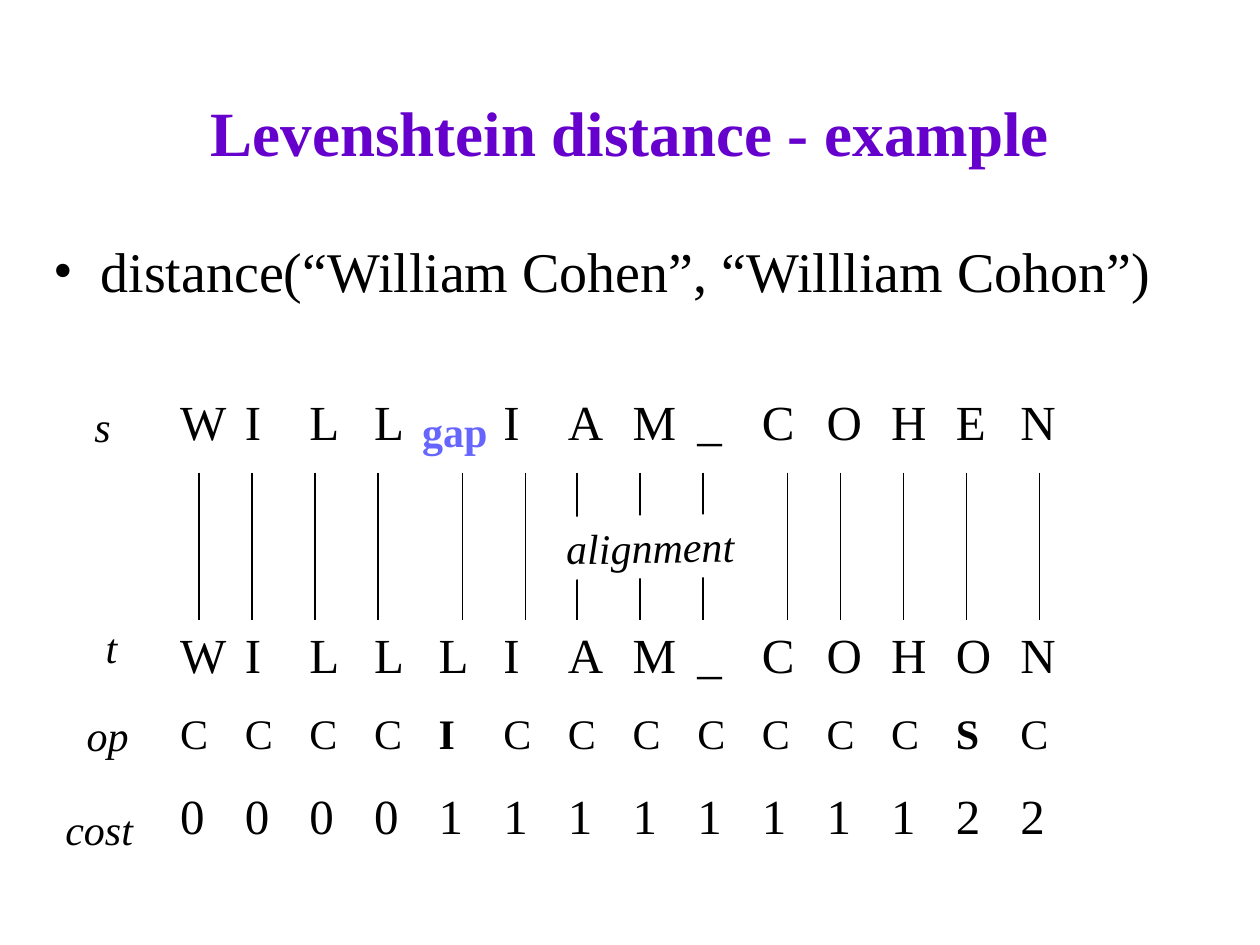
from lxml.etree import SubElement
from pptx import Presentation
from pptx.dml.color import RGBColor
from pptx.enum.shapes import MSO_CONNECTOR, MSO_SHAPE
from pptx.enum.text import MSO_ANCHOR, MSO_AUTO_SIZE, PP_ALIGN
from pptx.oxml.ns import qn
from pptx.util import Inches, Pt

FONT = "Times New Roman"
COLORS = {"title": "6600CC", "text": "000000", "gap": "6666FF", "paper": "FFFFFF"}

TITLE = "Levenshtein distance - example"
CALL = "distance(“William Cohen”, “Willliam Cohon”)"

# Row height, text size, one character per column (a space is an empty cell)
ROWS = [
    (0.73, 28, "WILL IAM_COHEN"),
    (1.12, 28, " " * 14),
    (0.64, 28, "WILLLIAM_COHON"),
    (0.64, 24, "CCCCICCCCCCCSC"),
    (0.71, 28, "00001111111122"),
]
EDITS = "IS"
EDIT_ROW = 3
# Thirteen equal columns and a wide last one
COLUMN_WIDTHS = [6.67 / 13] * 13 + [1.25]

# Text, left, top, width, alignment
ROW_LABELS = [
    ("s", 0.65, 3.13, 0.33, PP_ALIGN.LEFT),
    ("t", 0.74, 4.88, 0.29, PP_ALIGN.LEFT),
    ("op", 0.59, 5.58, 0.53, PP_ALIGN.RIGHT),
    ("cost", 0.42, 6.33, 0.78, PP_ALIGN.LEFT),
]
LABEL_HEIGHT = 0.5

MATCH_X = [1.58, 2, 2.5, 3, 3.67, 4.17, 4.58, 5.08, 5.58, 6.25, 6.67, 7.17, 7.67, 8.25]
MATCH_TOP, MATCH_BOTTOM = 3.75, 4.92


def color(name):
    return RGBColor.from_string(COLORS[name])


def write(para, text, size=24, tint="text", bold=False, italic=False,
          align=PP_ALIGN.LEFT):
    para.alignment = align
    span = para.add_run()
    span.text = text
    span.font.name = FONT
    span.font.size = Pt(size)
    span.font.bold = bold
    span.font.italic = italic
    span.font.color.rgb = color(tint)


def add_text(slide, text, left, top, width, height, wrap=True,
             anchor=MSO_ANCHOR.TOP, **style):
    box = slide.shapes.add_textbox(*map(Inches, (left, top, width, height)))
    frame = box.text_frame
    frame.word_wrap = wrap
    frame.auto_size = MSO_AUTO_SIZE.NONE if wrap else MSO_AUTO_SIZE.SHAPE_TO_FIT_TEXT
    frame.vertical_anchor = anchor
    para = frame.paragraphs[0]
    write(para, text, **style)
    return para


def add_bullet(para, indent):
    properties = para._p.get_or_add_pPr()
    properties.set("marL", str(Inches(indent)))
    properties.set("indent", str(-Inches(indent)))
    SubElement(properties, qn("a:buFont"), typeface=FONT)
    SubElement(properties, qn("a:buChar"), char="•")


def add_alignment_table(slide):
    height = sum(row[0] for row in ROWS)
    frame = slide.shapes.add_table(
        len(ROWS), len(COLUMN_WIDTHS), Inches(1.33), Inches(3.17),
        Inches(sum(COLUMN_WIDTHS)), Inches(height))
    table = frame.table
    table.first_row = table.horz_banding = False
    for column, width in zip(table.columns, COLUMN_WIDTHS):
        column.width = Inches(width)
    for r, (row_height, size, letters) in enumerate(ROWS):
        table.rows[r].height = Inches(row_height)
        for c, letter in enumerate(letters):
            cell = table.cell(r, c)
            cell.fill.background()
            if letter != " ":
                para = cell.text_frame.paragraphs[0]
                para.line_spacing = 0.8
                write(para, letter, size=size,
                      bold=r == EDIT_ROW and letter in EDITS)


def add_match_line(slide, x):
    line = slide.shapes.add_connector(
        MSO_CONNECTOR.STRAIGHT, Inches(x), Inches(MATCH_TOP),
        Inches(x), Inches(MATCH_BOTTOM))
    line.line.color.rgb = color("text")
    line.line.width = Pt(0.75)
    SubElement(line._element.spPr, qn("a:effectLst"))


def add_alignment_label(slide):
    label = slide.shapes.add_shape(
        MSO_SHAPE.RECTANGLE, Inches(4.24), Inches(4.09), Inches(1.84), Inches(LABEL_HEIGHT))
    label.rotation = 359
    label.shadow.inherit = False
    label.fill.solid()
    label.fill.fore_color.rgb = color("paper")
    label.line.fill.background()
    label.text_frame.vertical_anchor = MSO_ANCHOR.TOP
    write(label.text_frame.paragraphs[0], "alignment", italic=True,
          align=PP_ALIGN.CENTER)


def main():
    deck = Presentation()
    deck.slide_width, deck.slide_height = Inches(10), Inches(7.5)
    slide = deck.slides.add_slide(deck.slide_layouts[6])

    add_text(slide, TITLE, 0.75, 0.42, 8.5, 1.25, anchor=MSO_ANCHOR.MIDDLE,
             size=36, tint="title", bold=True, align=PP_ALIGN.CENTER)
    add_bullet(add_text(slide, CALL, 0.33, 1.83, 9.33, 0.92, size=32), 0.37)
    add_alignment_table(slide)
    for text, left, top, width, align in ROW_LABELS:
        add_text(slide, text, left, top, width, LABEL_HEIGHT, wrap=False,
                 italic=True, align=align)
    for x in MATCH_X:
        add_match_line(slide, x)
    add_alignment_label(slide)
    add_text(slide, "gap", 3.25, 3.17, 0.72, LABEL_HEIGHT, wrap=False,
             tint="gap", bold=True, align=PP_ALIGN.CENTER)

    deck.save("out.pptx")


if __name__ == "__main__":
    main()
